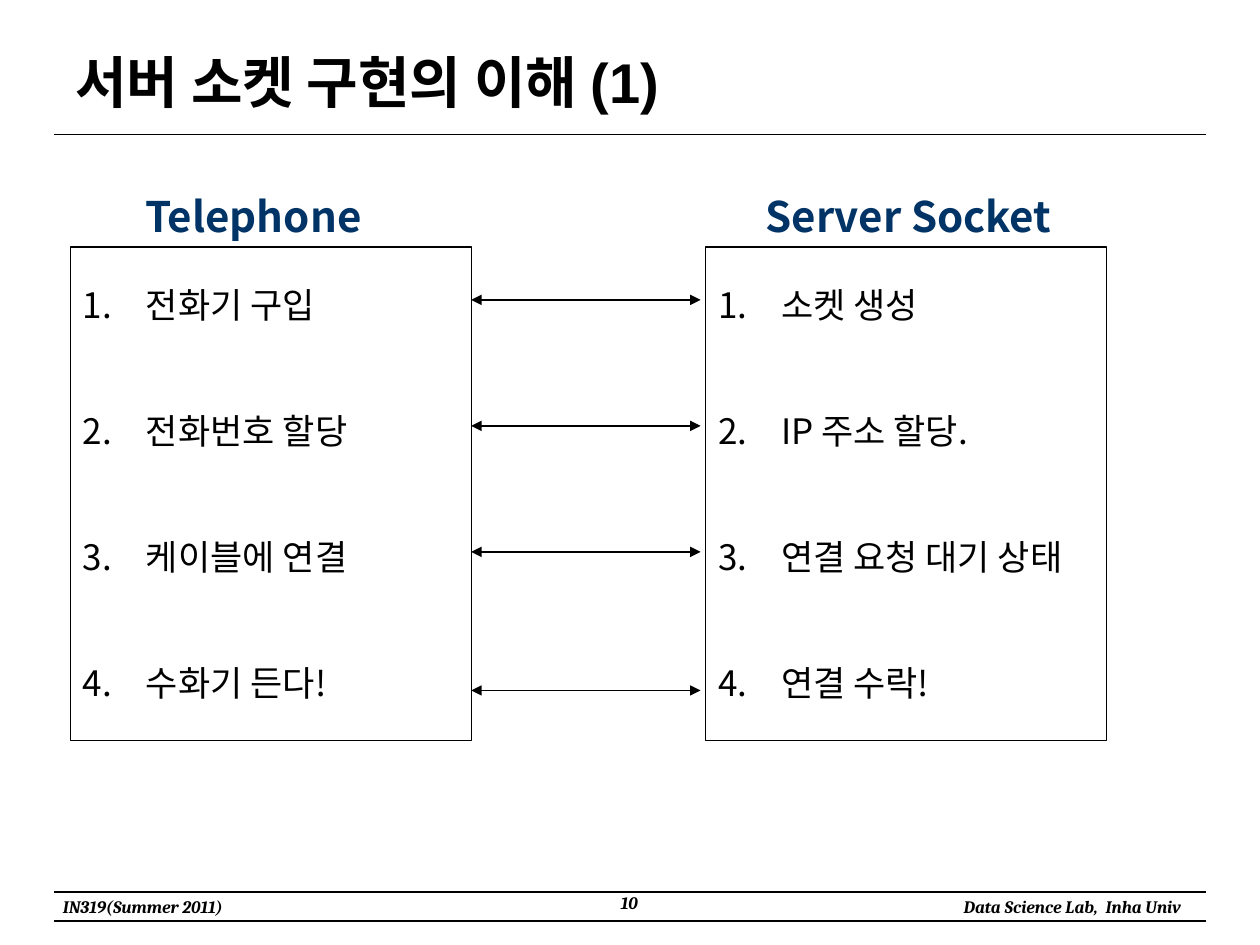
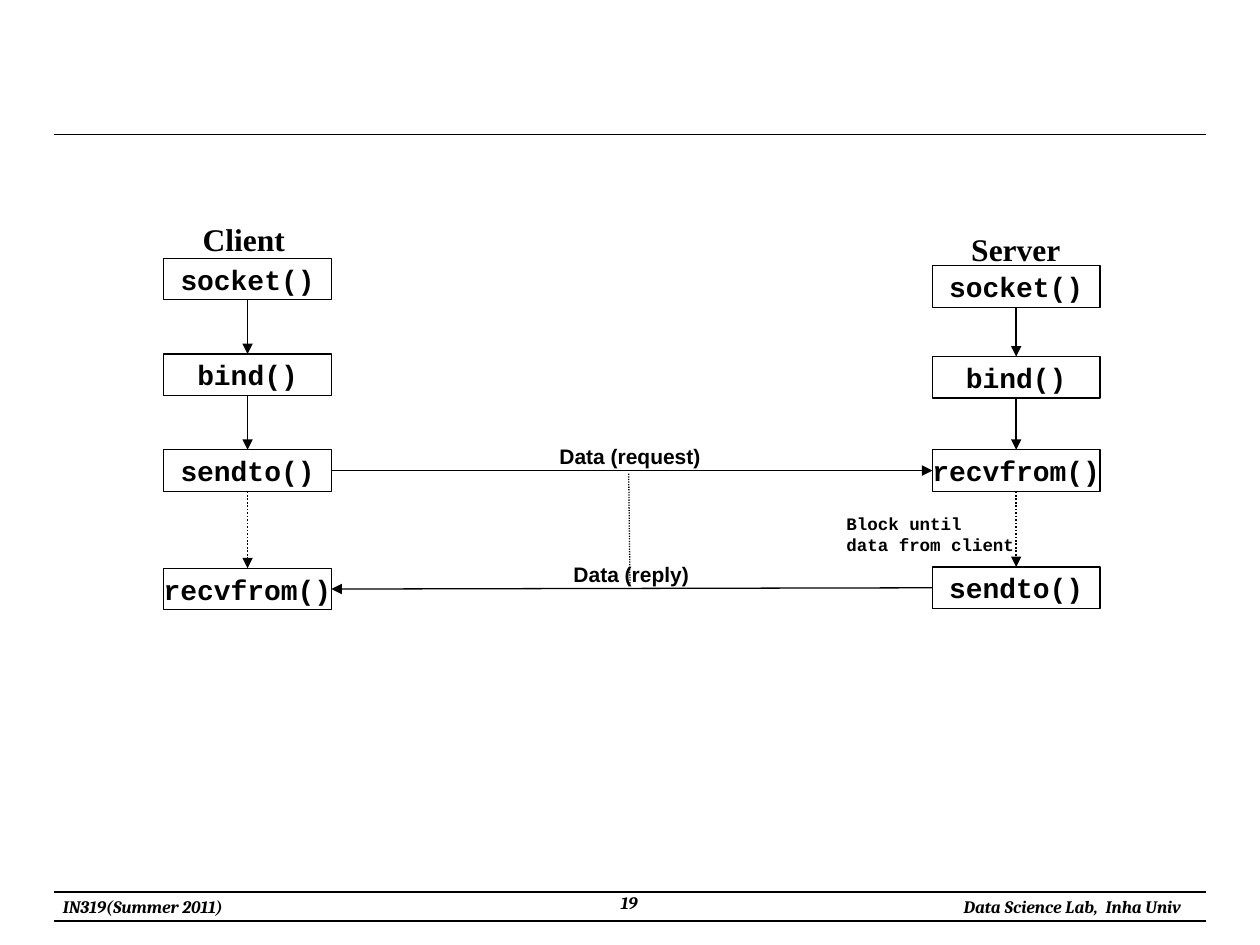
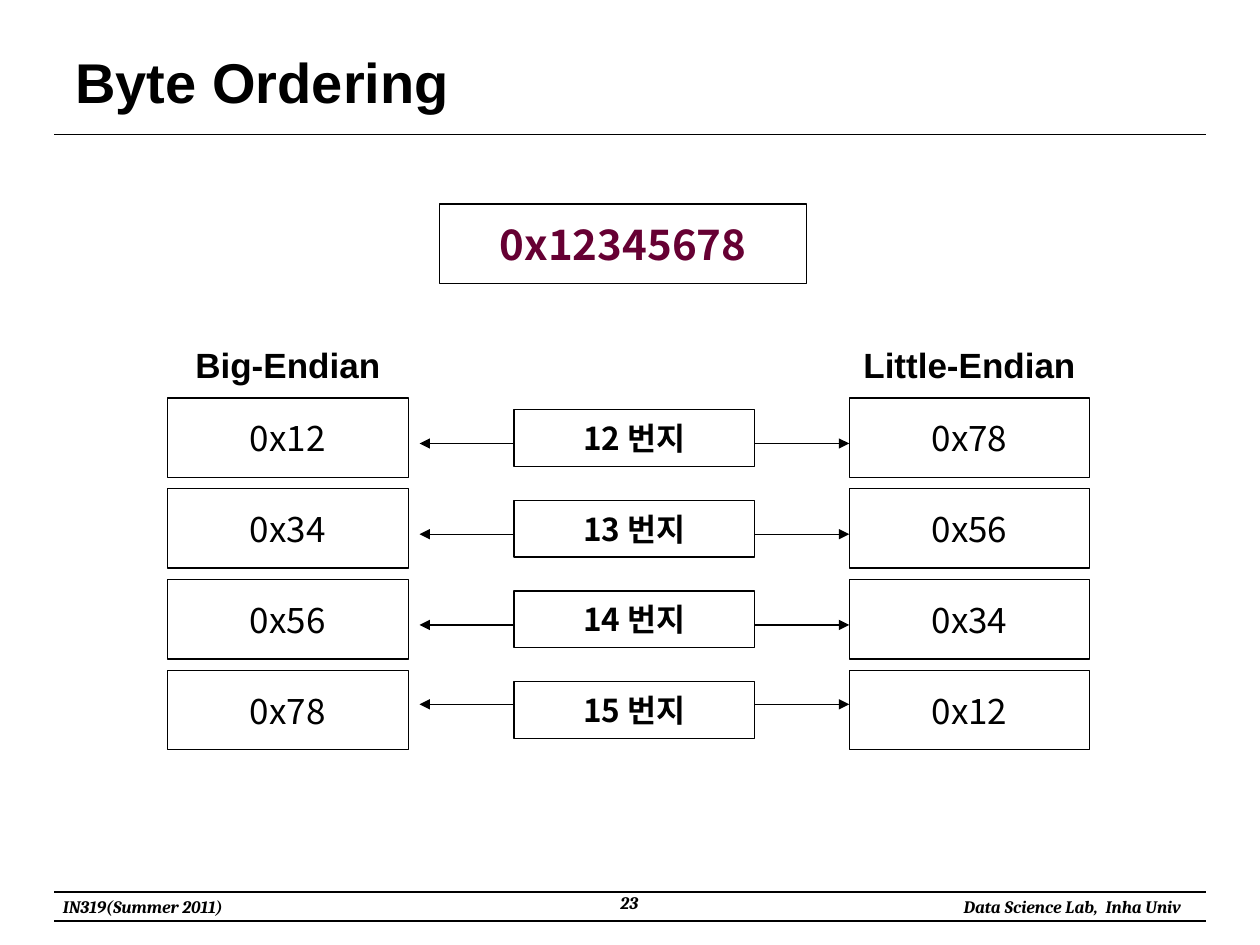
from lxml import etree
from pptx import Presentation
from pptx import util as u
from pptx.dml.color import RGBColor
from pptx.enum import dml, shapes, text
from pptx.oxml.ns import qn

COLORS = {"ink": "000000", "paper": "FFFFFF", "heading": "003366", "value": "660033"}
SANS, KOREAN, SERIF, CODE = "Arial", "Noto Sans CJK KR", "Times New Roman", "Courier New"
FOOTER = {"font": "Cambria", "size": 10, "bold": True, "italic": True}
LEFT, CENTER, RIGHT = text.PP_ALIGN.LEFT, text.PP_ALIGN.CENTER, text.PP_ALIGN.RIGHT
TOP, MIDDLE = text.MSO_ANCHOR.TOP, text.MSO_ANCHOR.MIDDLE
RULE_LEFT, RULE_RIGHT = 0.43, 9.57


def color(name):
    """Return the named palette colour."""
    return RGBColor.from_string(COLORS[name])


def write(shape, lines, font=KOREAN, size=20, ink="ink", bold=False, italic=False,
          align=CENTER, anchor=MIDDLE, wrap=False, numbered=False, gap=0):
    """Fill a shape with one paragraph per line of text."""
    frame = shape.text_frame
    frame.word_wrap = wrap
    frame.vertical_anchor = anchor
    for index, line in enumerate(lines.split("\n")):
        para = frame.add_paragraph() if index else frame.paragraphs[0]
        para.alignment = align
        if index and gap:
            para.space_before = u.Pt(gap)
        if numbered:
            props = para._p.get_or_add_pPr()
            props.set("marL", str(u.Inches(0.5)))
            props.set("indent", str(u.Inches(-0.5)))
            etree.SubElement(props, qn("a:buAutoNum"), type="arabicPeriod")
        span = para.add_run()
        span.text = line
        span.font.name, span.font.size = font, u.Pt(size)
        span.font.bold, span.font.italic = bold, italic
        span.font.color.rgb = color(ink)
        etree.SubElement(span._r.get_or_add_rPr(), qn("a:ea"), typeface=KOREAN)


def add_label(page, box, lines, **style):
    """Add a plain text box."""
    label = page.shapes.add_textbox(*map(u.Inches, box))
    write(label, lines, **style)
    return label


def add_box(page, box, lines, **style):
    """Add an outlined white rectangle with text."""
    shape = page.shapes.add_shape(shapes.MSO_SHAPE.RECTANGLE, *map(u.Inches, box))
    shape.shadow.inherit = False
    shape.fill.solid()
    shape.fill.fore_color.rgb = color("paper")
    shape.line.color.rgb = color("ink")
    shape.line.width = u.Pt(0.75)
    write(shape, lines, **style)
    return shape


def add_line(page, start=(0, 0), end=(0, 0), width=0.75, dotted=False, head=False, tail=False):
    """Add a straight line with optional arrowheads at its start and end."""
    line = page.shapes.add_connector(shapes.MSO_CONNECTOR.STRAIGHT, *map(u.Inches, start + end))
    line.line.color.rgb = color("ink")
    line.line.width = u.Pt(width)
    if dotted:
        line.line.dash_style = dml.MSO_LINE.ROUND_DOT
    outline = line.line._get_or_add_ln()
    for tag, wanted in (("a:headEnd", head), ("a:tailEnd", tail)):
        if wanted:
            etree.SubElement(outline, qn(tag), type="triangle")
    etree.SubElement(line._element.spPr, qn("a:effectLst"))
    return line


def join(page, source, source_side, target, target_side, **style):
    """Draw an arrow between side middles of two boxes."""
    arrow = add_line(page, tail=True, **style)
    arrow.begin_connect(source, source_side)
    arrow.end_connect(target, target_side)


def add_page(deck, number, title=None):
    """Add a slide with its rules, footer and optional title."""
    page = deck.slides.add_slide(deck.slide_layouts[6])
    for top in (1.07, 7.08, 7.31):
        add_line(page, (RULE_LEFT, top), (RULE_RIGHT, top))
    add_label(page, (0.4, 7.06, 1.73, 0.27), "IN319(Summer 2011)",
              anchor=TOP, align=LEFT, **FOOTER)
    add_label(page, (7.16, 7.06, 2.31, 0.27), "Data Science Lab,  Inha Univ",
              anchor=TOP, align=RIGHT, **FOOTER)
    add_label(page, (3.83, 7.03, 2.33, 0.31), str(number), anchor=TOP, wrap=True, **FOOTER)
    if title:
        add_label(page, (0.5, 0.3, 9, 0.69), title, font=SANS, size=32, bold=True,
                  align=LEFT, wrap=True)
    return page


def add_steps(page, box, heading, heading_shift, steps):
    """Add a numbered list panel with a heading above it."""
    left, top, _, _ = box
    add_box(page, box, "\n".join(steps), align=LEFT, wrap=True, numbered=True, gap=48)
    add_label(page, (left + heading_shift, top - 0.5, 2.6, 0.5), heading,
              size=24, ink="heading", bold=True)


def add_calls(page, box, name, calls):
    """Add a named column of calls joined by arrows and return its boxes."""
    left, top, width, height = box
    add_label(page, (left + 0.21, top, 0.91, 0.4), name, font=SERIF, size=18, bold=True,
              align=LEFT, anchor=TOP)
    boxes = [add_box(page, (left, top + drop, width, height), call,
                     font=CODE, size=16, bold=True) for call, drop in calls]
    for index, (upper, lower) in enumerate(zip(boxes, boxes[1:])):
        join(page, upper, 2, lower, 0, width=1, dotted=index == len(boxes) - 2)
    return boxes


def add_bytes(page, box, heading, values, pitch):
    """Add a headed column of byte cells."""
    left, top, width, height = box
    add_label(page, (left, top - 0.45, width, 0.36), heading, font=SANS, bold=True)
    for row, value in enumerate(values):
        add_box(page, (left, top + row * pitch, width, height), value)


def build_telephone(deck):
    """Compare telephone use with a server socket."""
    page = add_page(deck, 10, "서버 소켓 구현의 이해 (1)")
    add_steps(page, (0.56, 1.96, 3.18, 3.92), "Telephone", 0.15,
              ["전화기 구입", "전화번호 할당", "케이블에 연결", "수화기 든다!"])
    add_steps(page, (5.6, 1.96, 3.18, 3.92), "Server Socket", 0.31,
              ["소켓 생성", "IP 주소 할당.", "연결 요청 대기 상태", "연결 수락!"])
    for top in (2.38, 3.38, 4.38, 5.48):
        add_line(page, (3.74, top), (5.56, top), width=1, head=True, tail=True)


def build_datagram(deck):
    """Show the datagram calls of client and server."""
    page = add_page(deck, 19)
    client = add_calls(page, (1.3, 1.7, 1.33, 0.33), "Client", [
        ("socket()", 0.35), ("bind()", 1.11), ("sendto()", 1.87), ("recvfrom()", 2.81)])
    server = add_calls(page, (7.4, 1.78, 1.33, 0.33), "Server", [
        ("socket()", 0.33), ("bind()", 1.05), ("recvfrom()", 1.79), ("sendto()", 2.72)])
    join(page, client[2], 3, server[2], 1)
    join(page, server[3], 1, client[3], 3)
    add_line(page, (5, 4.65), (4.99, 3.76), dotted=True)
    add_label(page, (6.62, 4.02, 1.53, 0.43), "Block until\ndata from client",
              font=CODE, size=10, bold=True, align=LEFT, anchor=TOP)
    for box, caption in (((4.34, 3.47, 1.32, 0.3), "Data (request)"),
                         ((4.45, 4.41, 1.12, 0.3), "Data (reply)")):
        add_label(page, box, caption, font=SANS, size=12, bold=True, anchor=TOP)


def build_byte_order(deck):
    """Show one number stored in both byte orders."""
    page = add_page(deck, 23, "Byte Ordering")
    pitch = 0.72
    values = ["0x12", "0x34", "0x56", "0x78"]
    add_box(page, (3.49, 1.62, 2.91, 0.63), "0x12345678", size=24, ink="value", bold=True)
    add_bytes(page, (1.33, 3.16, 1.91, 0.63), "Big-Endian", values, pitch)
    add_bytes(page, (6.74, 3.16, 1.91, 0.63), "Little-Endian", values[::-1], pitch)
    for row, arrow_top in enumerate((3.52, 4.24, 4.96, 5.59)):
        add_line(page, (3.33, arrow_top), (6.74, arrow_top), head=True, tail=True)
        add_box(page, (4.08, 3.25 + row * pitch, 1.91, 0.45), f"{12 + row} 번지",
                size=18, bold=True)


def main():
    """Build and save the deck."""
    deck = Presentation()
    deck.slide_width, deck.slide_height = u.Inches(10), u.Inches(7.5)
    build_telephone(deck)
    build_datagram(deck)
    build_byte_order(deck)
    deck.save("out.pptx")


if __name__ == "__main__":
    main()
